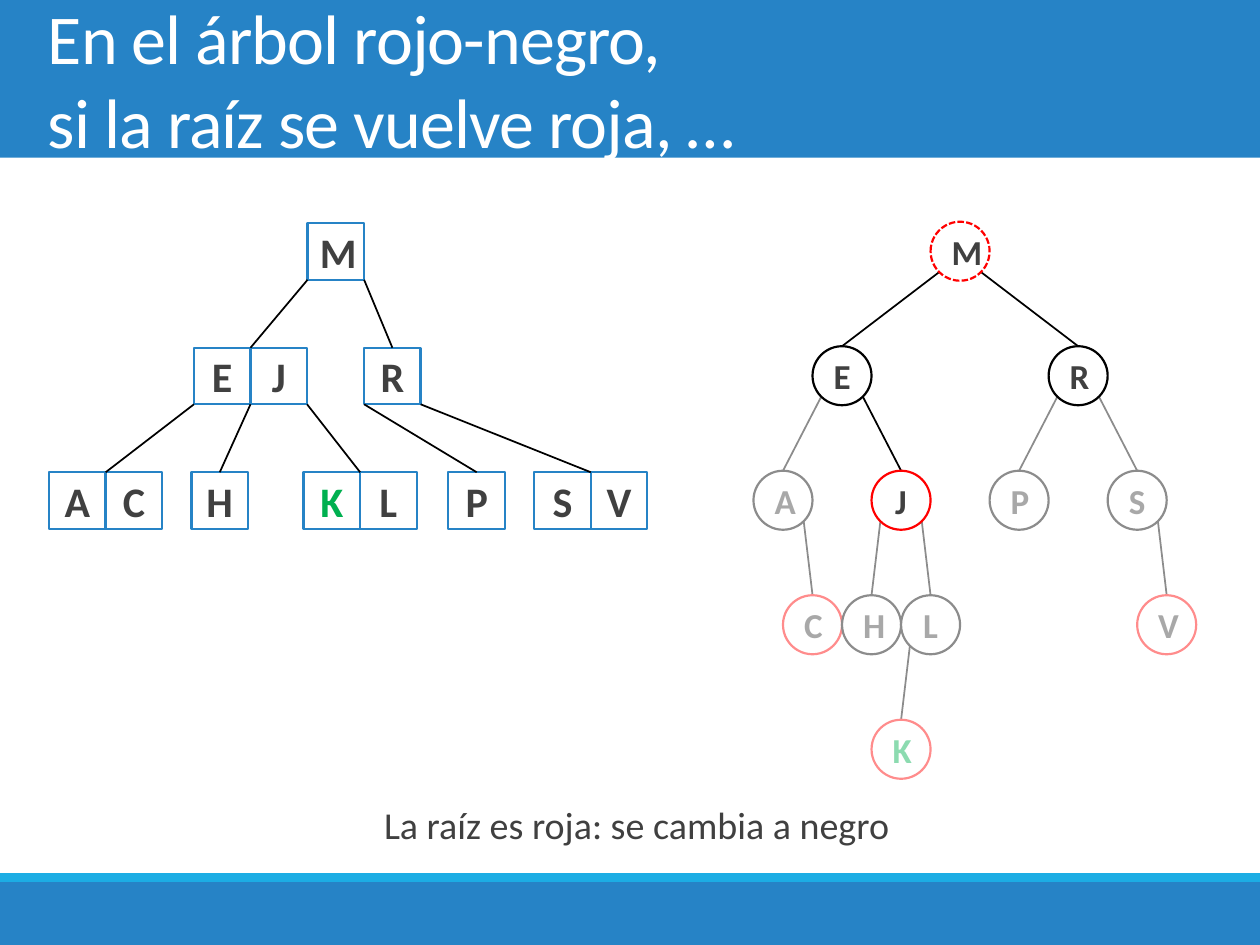
from pptx import Presentation
from pptx.dml.color import RGBColor
from pptx.enum.dml import MSO_LINE
from pptx.enum.shapes import MSO_CONNECTOR, MSO_SHAPE
from pptx.enum.text import MSO_ANCHOR, MSO_AUTO_SIZE, PP_ALIGN
from pptx.oxml.ns import qn
from pptx.util import Cm, Pt
from lxml.etree import SubElement

BLUE, CYAN, WHITE, BLACK = "2683C6", "1CADE4", "FFFFFF", "000000"
RED, GREEN, GREY = "FF0000", "00B050", "404040"


def rgb(code):
    return RGBColor.from_string(code)


class Deck:
    font = "Calibri"

    def __init__(self, width, height):
        self.prs = Presentation()
        self.prs.slide_width, self.prs.slide_height = Cm(width), Cm(height)
        self.slide = self.prs.slides.add_slide(self.prs.slide_layouts[5])
        self.shapes = self.slide.shapes

    def label(self, shape, text, size, color, align, bold=False):
        frame = shape.text_frame
        frame.word_wrap = True
        frame.auto_size = MSO_AUTO_SIZE.NONE
        frame.text = text
        para = frame.paragraphs[0]
        para.alignment = align
        font = para.font
        font.name, font.size, font.bold = self.font, Pt(size), bold
        font.color.rgb = rgb(color)
        return para

    def title(self, text, x, y, w, h):
        shape = self.shapes.title
        shape.left, shape.top, shape.width, shape.height = map(Cm, (x, y, w, h))
        para = self.label(shape, text, 40, WHITE, PP_ALIGN.LEFT)
        shape.text_frame.vertical_anchor = MSO_ANCHOR.MIDDLE
        for run in para.runs:
            run._r.get_or_add_rPr().set("spc", "-50")
        # Bring the title in front of the band
        self.shapes._spTree.append(shape._element)

    def box(self, kind, x, y, w, h, fill, line=None, alpha=None):
        shape = self.shapes.add_shape(kind, Cm(x), Cm(y), Cm(w), Cm(h))
        shape.shadow.inherit = False
        shape.fill.solid()
        shape.fill.fore_color.rgb = rgb(fill)
        if alpha:
            color = shape._element.spPr.find(qn("a:solidFill"))[0]
            SubElement(color, qn("a:alpha")).set("val", str(alpha * 1000))
        if line:
            shape.line.color.rgb = rgb(line)
            shape.line.width = Pt(1.25)
        else:
            shape.line.fill.background()
        return shape

    def node(self, kind, key, x, y, side, line, size):
        shape = self.box(kind, x, y, side, side, WHITE, line)
        color = GREEN if key == "K" else GREY
        self.label(shape, key, size, color, PP_ALIGN.CENTER, True)
        shape.text_frame.vertical_anchor = MSO_ANCHOR.MIDDLE
        return shape

    def edge(self, x1, y1, x2, y2):
        line = self.shapes.add_connector(
            MSO_CONNECTOR.STRAIGHT, Cm(x1), Cm(y1), Cm(x2), Cm(y2))
        line.line.color.rgb = rgb(BLACK)
        line.line.width = Pt(1)
        SubElement(line._element.spPr, qn("a:effectLst"))

    def note(self, text, x, y, w, h):
        shape = self.shapes.add_textbox(Cm(x), Cm(y), Cm(w), Cm(h))
        para = self.label(shape, text, 21.7, GREY, PP_ALIGN.CENTER)
        para.line_spacing = 1.3
        para.space_before, para.space_after = Pt(12), Pt(2)
        para._p.get_or_add_pPr().set("marL", str(Cm(0.25)))


deck = Deck(25.4, 19.05)

# Bands and title
for top, high, fill in ((0, 3.18, BLUE), (17.78, 1.27, BLUE), (17.6, 0.18, CYAN)):
    deck.box(MSO_SHAPE.RECTANGLE, 0, top, 25.4, high, fill)
deck.title("En el árbol rojo-negro,\vsi la raíz se vuelve roja, …", 0.71, 0, 24, 3.18)

ROW = 2.51  # distance between tree levels

# Red-black tree: key -> column (half a circle wide), level, parent, side
DIAM, LEFT, TOP = 1.19, 15.19, 4.47
LEAN = DIAM * 0.35  # where an edge leaves the parent circle
TREE = {
    "M": (6, 0, None, 0), "E": (2, 1, "M", -1), "R": (10, 1, "M", 1),
    "A": (0, 2, "E", -1), "J": (4, 2, "E", 1), "P": (8, 2, "R", -1),
    "S": (12, 2, "R", 1), "C": (1, 3, "A", 1), "H": (3, 3, "J", -1),
    "L": (5, 3, "J", 1), "V": (13, 3, "S", 1), "K": (4, 4, "L", -1),
}


def spot(key):
    col, level = TREE[key][:2]
    return LEFT + col * DIAM / 2, TOP + level * ROW


def grow(keys):
    for key in keys:
        up, side = TREE[key][2:]
        if up:
            (px, py), (x, y) = spot(up), spot(key)
            mid = DIAM / 2
            deck.edge(px + mid + side * LEAN, py + mid + LEAN, x + mid, y)
    for key in keys:
        line = RED if key in "MJCVK" else BLACK
        shape = deck.node(MSO_SHAPE.OVAL, key, *spot(key), DIAM, line, 20)
        if key == "M":
            shape.line.dash_style = MSO_LINE.SQUARE_DOT


# Faded part, veil, then the part in focus
grow("APSCHLVK")
deck.box(MSO_SHAPE.RECTANGLE, 13.82, 4.19, 11.58, 12.07, WHITE, alpha=55)
grow("MERJ")

# 2-3 tree: keys -> left, level, parent, slot in the parent
SIDE, HEAD = 1.14, 4.5
GROUPS = {
    "M": (6.2, 0, None, 0), "EJ": (3.91, 1, "M", 0), "R": (7.34, 1, "M", 1),
    "AC": (0.99, 2, "EJ", 0), "H": (3.86, 2, "EJ", 1), "KL": (6.12, 2, "EJ", 2),
    "P": (9.04, 2, "R", 0), "SV": (10.77, 2, "R", 1),
}
for keys, (x, level, up, slot) in GROUPS.items():
    y = HEAD + level * ROW
    for i, key in enumerate(keys):
        deck.node(MSO_SHAPE.RECTANGLE, key, x + i * SIDE, y, SIDE, BLUE, 24)
    if up:
        deck.edge(GROUPS[up][0] + slot * SIDE, y - ROW + SIDE,
                  x + len(keys) * SIDE / 2, y)

# Closing remark
deck.note("La raíz es roja: se cambia a negro", 0.71, 15.75, 24, 1.45)

deck.prs.save("out.pptx")
